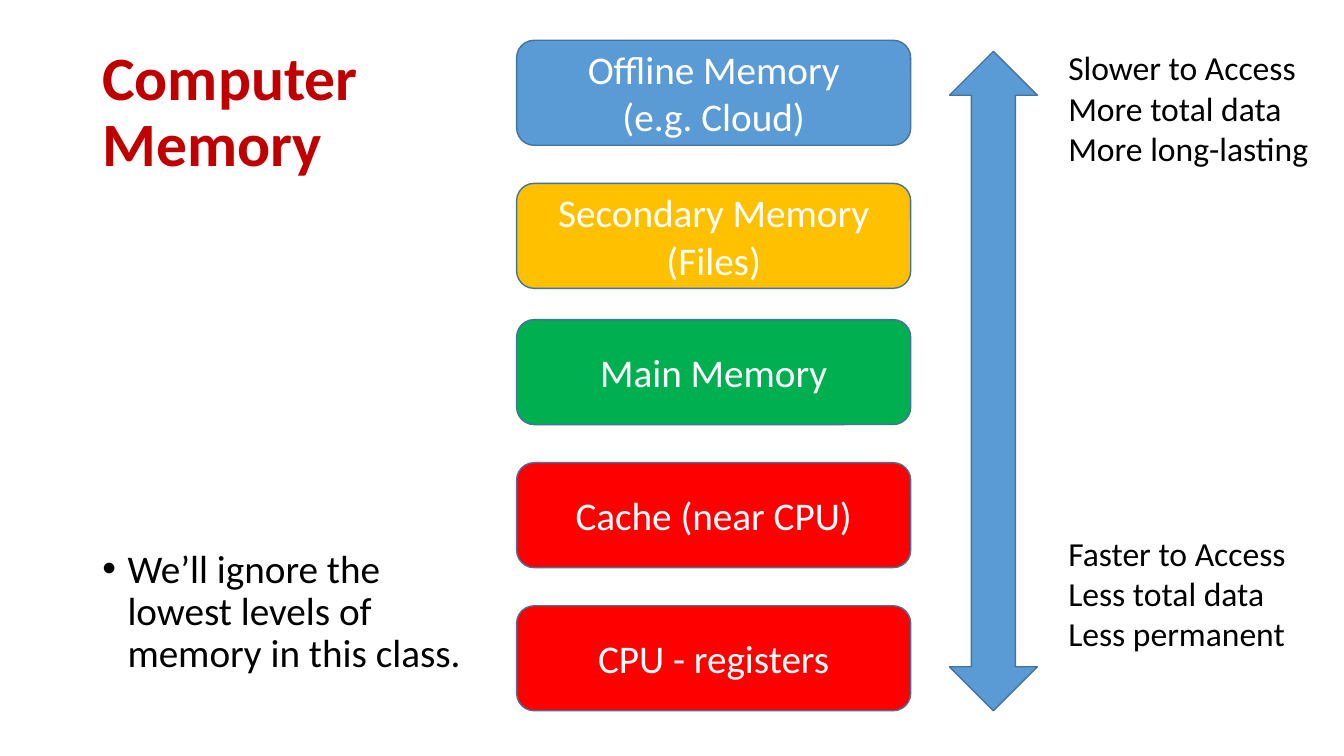
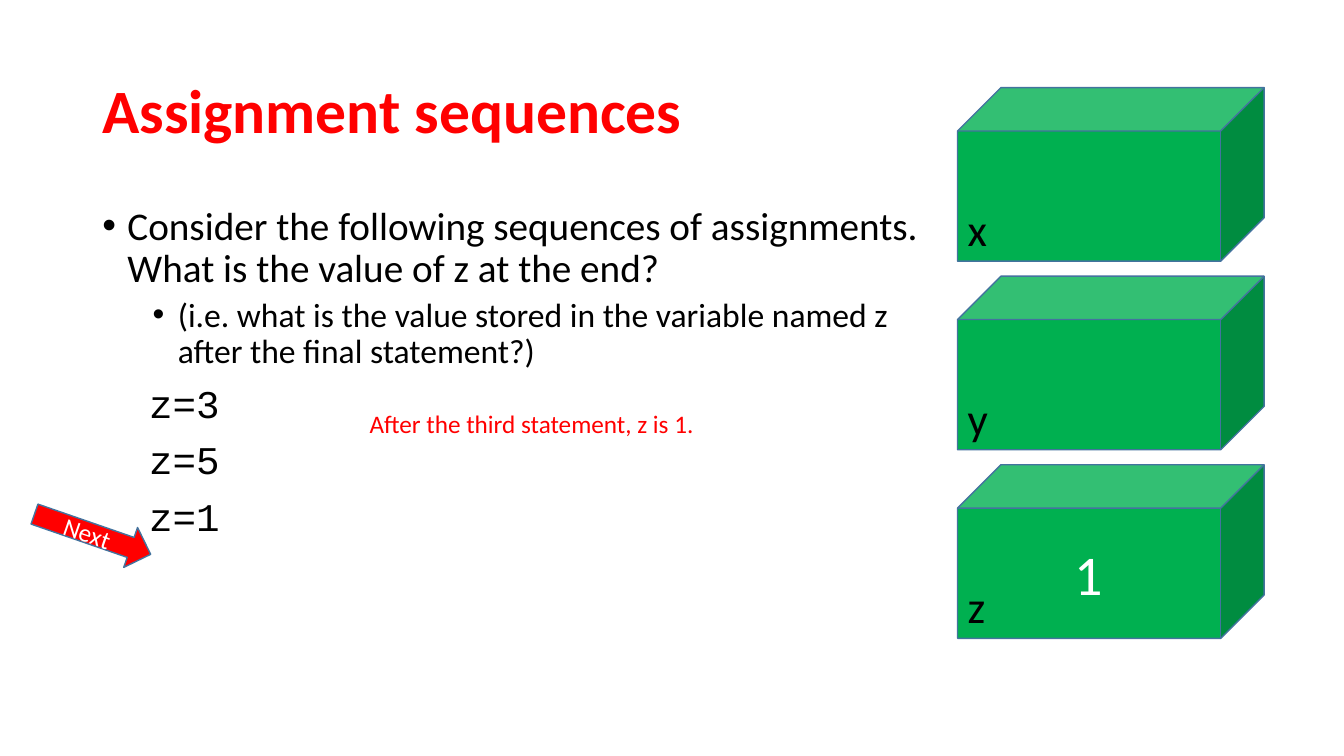
import pptx
import pptx.util
import pptx.dml.color
import pptx.enum.shapes
import pptx.enum.text
import pptx.oxml.ns
import lxml.etree

Pt = pptx.util.Pt
RGBColor = pptx.dml.color.RGBColor
Shape = pptx.enum.shapes.MSO_SHAPE
Anchor = pptx.enum.text.MSO_ANCHOR
Align = pptx.enum.text.PP_ALIGN
qn = pptx.oxml.ns.qn

BLACK = RGBColor(0x00, 0x00, 0x00)
WHITE = RGBColor(0xFF, 0xFF, 0xFF)
RED = RGBColor(0xFF, 0x00, 0x00)
DARK_RED = RGBColor(0xC0, 0x00, 0x00)
GREEN = RGBColor(0x00, 0xB0, 0x50)
AMBER = RGBColor(0xFF, 0xC0, 0x00)
BLUE = RGBColor(0x5B, 0x9B, 0xD5)
OUTLINE = RGBColor(0x43, 0x73, 0x9E)

BODY_FONT = "Calibri"
CODE_FONT = "Courier New"
BULLET_HANG = 18
LEFT_MARGIN = 66

BODY_STYLES = {
    "point": dict(size=28, font=BODY_FONT, indent=18, before=10),
    "detail": dict(size=24, font=BODY_FONT, indent=54, before=5),
    "code": dict(size=28, font=CODE_FONT, indent=None, before=10),
}


class Deck:
    def __init__(self):
        self.presentation = pptx.Presentation()
        self.presentation.slide_width = Pt(960)
        self.presentation.slide_height = Pt(540)
        self.slide = None

    def new_slide(self):
        self.slide = self.presentation.slides.add_slide(self.presentation.slide_layouts[6])

    def format_runs(self, paragraph, size, color, font=BODY_FONT, bold=False):
        for run in paragraph.runs:
            run.font.size = Pt(size)
            run.font.name = font
            run.font.bold = bold
            run.font.color.rgb = color

    def text(self, box, content, size, color, bold=False, wrap=True, grow=False, shapes=None):
        label = (shapes or self.slide.shapes).add_textbox(*map(Pt, box))
        frame = label.text_frame
        frame.text = content
        frame.word_wrap = wrap
        if grow:
            frame.auto_size = pptx.enum.text.MSO_AUTO_SIZE.SHAPE_TO_FIT_TEXT
        for paragraph in frame.paragraphs:
            self.format_runs(paragraph, size, color, bold=bold)
        return frame

    def title(self, content, color, width):
        frame = self.text((LEFT_MARGIN, 28.8, width, 104.4), content, 44, color, bold=True)
        frame.vertical_anchor = Anchor.MIDDLE
        frame.paragraphs[0].line_spacing = 0.9

    def body(self, items, width, anchor=Anchor.TOP):
        box = (LEFT_MARGIN, 144, width, 342.7)
        frame = self.text(box, "\n".join(content for content, _ in items), 28, BLACK)
        frame.vertical_anchor = anchor
        for position, (paragraph, (_, kind)) in enumerate(zip(frame.paragraphs, items)):
            style = BODY_STYLES[kind]
            if style["indent"]:
                self.bullet(paragraph, style["indent"])
            paragraph.line_spacing = 0.9
            if position:
                paragraph.space_before = Pt(style["before"])
            self.format_runs(paragraph, style["size"], BLACK, style["font"])

    def bullet(self, paragraph, indent):
        properties = paragraph._p.get_or_add_pPr()
        properties.set("marL", str(Pt(indent)))
        properties.set("indent", str(-Pt(BULLET_HANG)))
        lxml.etree.SubElement(properties, qn("a:buFont")).set("typeface", "Arial")
        lxml.etree.SubElement(properties, qn("a:buChar")).set("char", "•")

    def shape(self, preset, box, fill, content="", size=28, rotation=0, shapes=None):
        block = (shapes or self.slide.shapes).add_shape(preset, *map(Pt, box))
        block.shadow.inherit = False
        block.rotation = rotation
        block.fill.solid()
        block.fill.fore_color.rgb = fill
        block.line.color.rgb = OUTLINE
        block.line.width = Pt(1)
        if content:
            frame = block.text_frame
            frame.text = content
            frame.word_wrap = True
            frame.vertical_anchor = Anchor.MIDDLE
            for paragraph in frame.paragraphs:
                paragraph.alignment = Align.CENTER
                self.format_runs(paragraph, size, WHITE)

    def variable(self, name, value, top):
        left, height, label_height = 684, 124, 46
        members = self.slide.shapes.add_group_shape().shapes
        self.shape(Shape.CUBE, (left, top, 219, height), GREEN, value, 40, shapes=members)
        self.text((left, top + height - label_height, 29, label_height), name, 32, BLACK,
                  wrap=False, grow=True, shapes=members)


def memory_slide(deck):
    deck.new_slide()
    deck.title("Computer\vMemory", DARK_RED, 275)
    deck.body([("We’ll ignore the lowest levels of memory in this class.", "point")],
              275, Anchor.BOTTOM)
    levels = [
        (28.8, BLUE, "Offline Memory\n(e.g. Cloud)"),
        (131, AMBER, "Secondary Memory (Files)"),
        (228.3, GREEN, "Main Memory"),
        (330.5, RED, "Cache (near CPU)"),
        (432.7, RED, "CPU - registers"),
    ]
    for top, color, name in levels:
        deck.shape(Shape.ROUNDED_RECTANGLE, (369, top, 281.5, 75), color, name)
    extremes = [
        (30.2, 188, "Slower to Access\nMore total data\nMore long-lasting"),
        (377, 171.5, "Faster to Access\nLess total data\nLess permanent"),
    ]
    for top, width, traits in extremes:
        deck.text((756, top, width, 94.5), traits, 24, BLACK, wrap=False, grow=True)
    deck.shape(Shape.UP_DOWN_ARROW, (678.2, 36.7, 62.8, 471), BLUE)


def assignment_slide(deck):
    deck.new_slide()
    deck.title("Assignment sequences", RED, 828)
    deck.body([
        ("Consider the following sequences of assignments.  "
         "What is the value of z at the end?", "point"),
        ("(i.e. what is the value stored in the variable named z "
         "after the final statement?)", "detail"),
        ("  z=3", "code"),
        ("  z=5", "code"),
        ("  z=1", "code"),
    ], 603.5)
    for row, (name, value) in enumerate([("x", ""), ("y", ""), ("z", "1")]):
        deck.variable(name, value, 62.6 + 134.7 * row)
    deck.shape(Shape.RIGHT_ARROW, (22.2, 366.5, 87.8, 30.2), RED, "Next", 18, rotation=19.1)
    deck.text((257, 288, 252, 29), "After the third statement, z is 1.", 18, RED, grow=True)


def main():
    deck = Deck()
    memory_slide(deck)
    assignment_slide(deck)
    deck.presentation.save("out.pptx")


if __name__ == "__main__":
    main()
